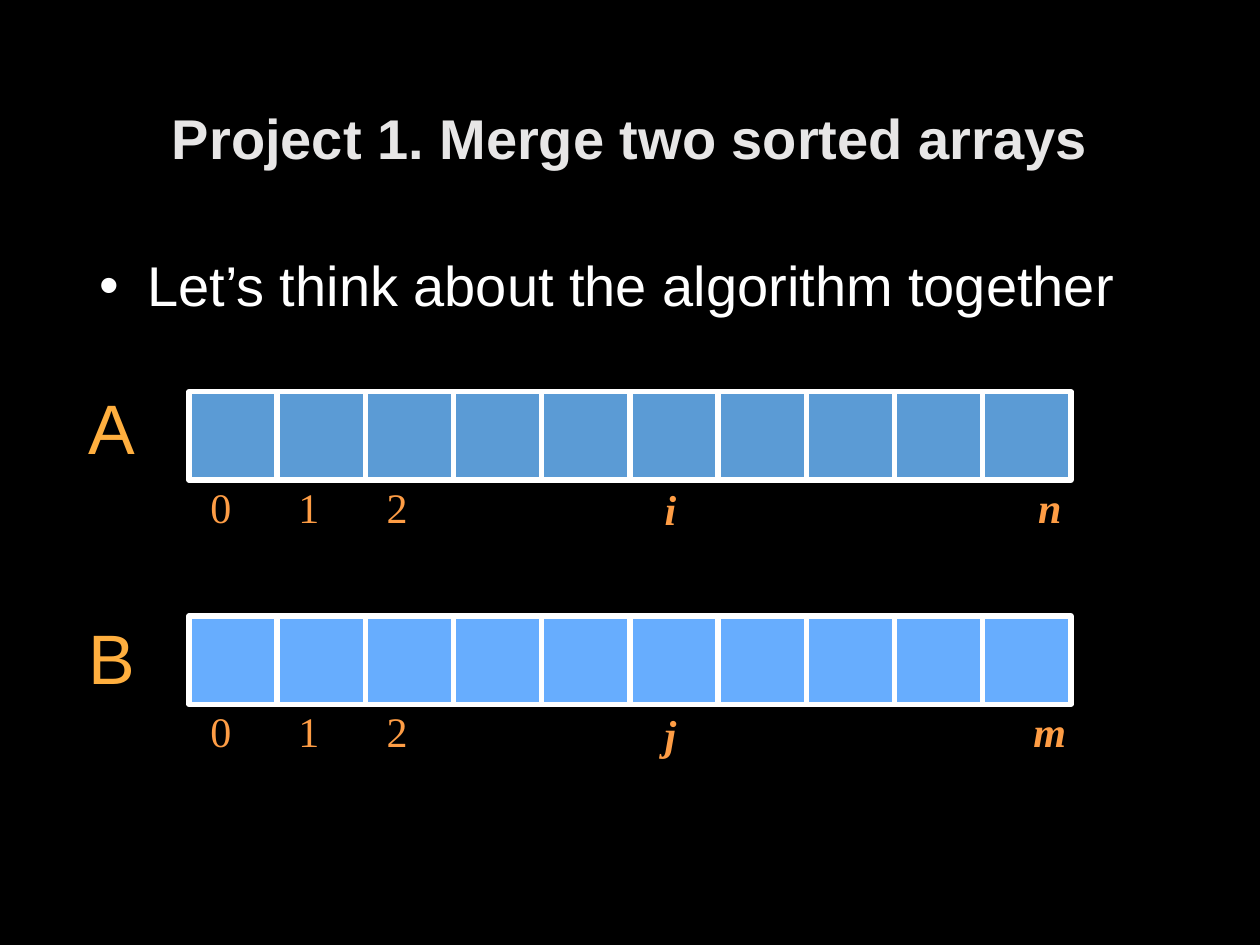
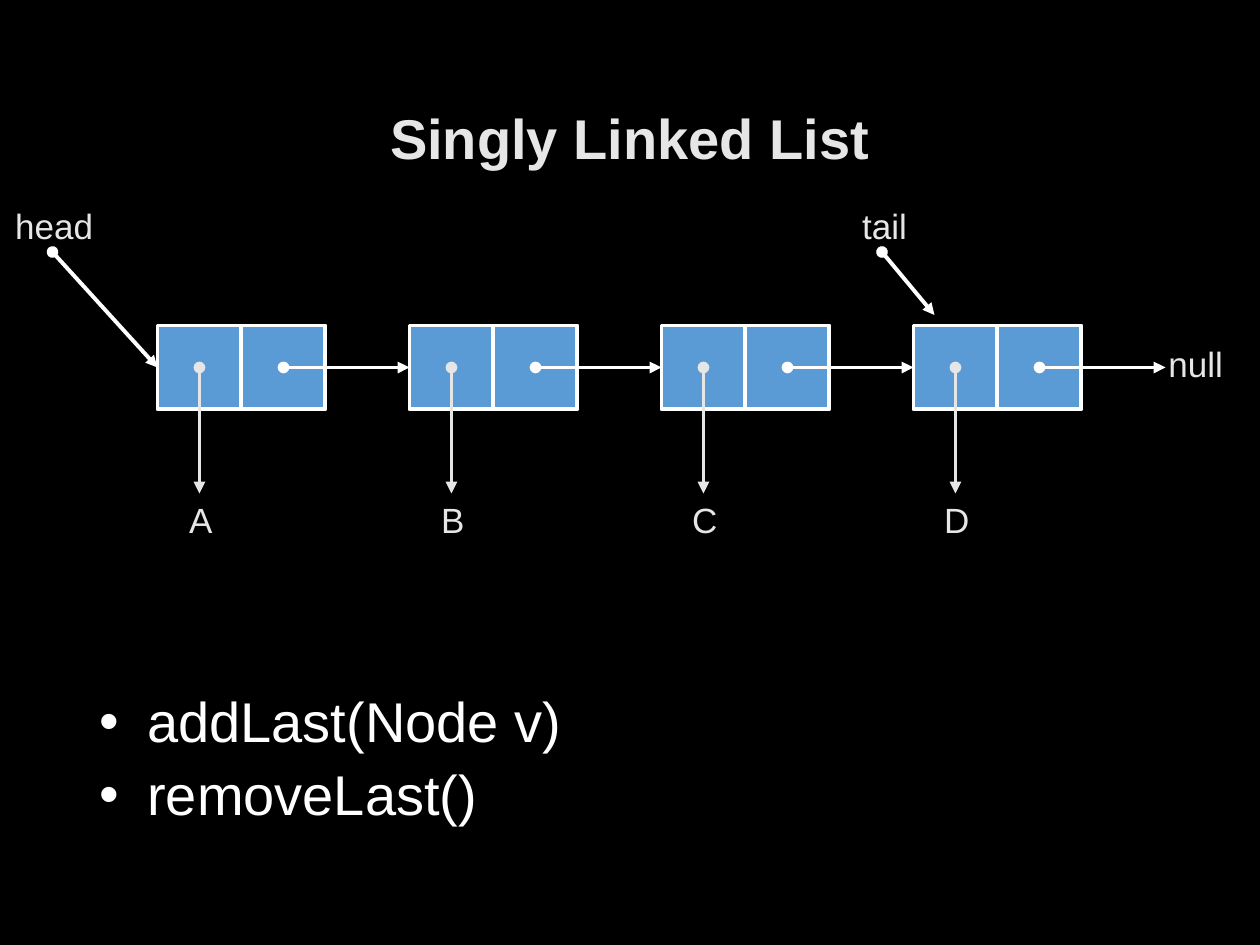
from pptx import Presentation
from pptx.dml.color import RGBColor
from pptx.enum.shapes import MSO_CONNECTOR, MSO_SHAPE
from pptx.enum.text import MSO_ANCHOR, MSO_AUTO_SIZE, PP_ALIGN
from pptx.oxml.ns import qn
from pptx.util import Inches, Pt
from lxml import etree

RECTANGLE = MSO_SHAPE.RECTANGLE
STRAIGHT = MSO_CONNECTOR.STRAIGHT
MIDDLE = MSO_ANCHOR.MIDDLE
NO_AUTOFIT = MSO_AUTO_SIZE.NONE
CENTER = PP_ALIGN.CENTER

BLACK = RGBColor(0x00, 0x00, 0x00)
WHITE = RGBColor(0xFF, 0xFF, 0xFF)
LIGHT_GRAY = RGBColor(0xE7, 0xE6, 0xE6)
BLUE = RGBColor(0x5B, 0x9B, 0xD5)
BRIGHT_BLUE = RGBColor(0x67, 0xAD, 0xFE)
ORANGE = RGBColor(0xFE, 0x9D, 0x45)
AMBER = RGBColor(0xFF, 0xAF, 0x3F)

SANS = "Arial"
SERIF = "Times New Roman"
MARGIN = 0.69
CONTENT_WIDTH = 8.62


def add_label(slide, text, center, top, size, color, font_name=SANS, emphasis=False):
    width = 0.65
    label = slide.shapes.add_textbox(
        Inches(center - width / 2), Inches(top), Inches(width), Inches(0.4))
    frame = label.text_frame
    frame.word_wrap = False
    frame.margin_left = frame.margin_right = frame.margin_top = frame.margin_bottom = 0
    frame.text = text
    paragraph = frame.paragraphs[0]
    paragraph.alignment = CENTER
    font = paragraph.runs[0].font
    font.name, font.size = font_name, Pt(size)
    font.bold = font.italic = emphasis
    font.color.rgb = color


def add_cell(slide, left, top, side, color, line_width):
    cell = slide.shapes.add_shape(
        RECTANGLE, Inches(left), Inches(top), Inches(side), Inches(side))
    cell.shadow.inherit = False
    cell.fill.solid()
    cell.fill.fore_color.rgb = color
    cell.line.color.rgb = WHITE
    cell.line.width = Pt(line_width)


presentation = Presentation()
presentation.slide_width = Inches(10)
presentation.slide_height = Inches(7.5)
background = presentation.slide_master.background.fill
background.solid()
background.fore_color.rgb = BLACK
title_only = presentation.slide_layouts[5]

contents = [
    ("Project 1. Merge two sorted arrays", 2, ["Let’s think about the algorithm together"]),
    ("Singly Linked List", 5.46, ["addLast(Node v)", "removeLast()"]),
]
for title_text, bullets_top, bullets in contents:
    slide = presentation.slides.add_slide(title_only)
    title = slide.shapes.title
    title.left, title.top = Inches(MARGIN), Inches(0.4)
    title.width, title.height = Inches(CONTENT_WIDTH), Inches(1.45)
    title.text_frame.text = title_text
    title.text_frame.vertical_anchor = MIDDLE
    title.text_frame.auto_size = NO_AUTOFIT
    paragraph = title.text_frame.paragraphs[0]
    paragraph.alignment = CENTER
    paragraph.line_spacing = 0.9
    font = paragraph.runs[0].font
    font.name, font.size, font.bold = SANS, Pt(32), True
    font.color.rgb = LIGHT_GRAY

    body = slide.shapes.add_textbox(
        Inches(MARGIN), Inches(bullets_top), Inches(CONTENT_WIDTH), Inches(0.6 * len(bullets)))
    body.text_frame.word_wrap = True
    body.text_frame.text = "\n".join(bullets)
    for number, paragraph in enumerate(body.text_frame.paragraphs):
        paragraph.line_spacing = 0.9
        paragraph.space_before = Pt(7 if number else 0)
        properties = paragraph._p.get_or_add_pPr()
        properties.set("marL", str(Inches(0.38)))
        properties.set("indent", str(-Inches(0.38)))
        etree.SubElement(properties, qn("a:buFont"), typeface=SANS)
        etree.SubElement(properties, qn("a:buChar"), char="•")
        font = paragraph.runs[0].font
        font.name, font.size = SANS, Pt(32)
        font.color.rgb = WHITE

arrays_slide, list_slide = presentation.slides

CELL = 0.7
ARRAY_LEFT = 1.5
arrays = [
    ("A", 3.11, 3.05, BLUE, "i", "n"),
    ("B", 4.89, 4.88, BRIGHT_BLUE, "j", "m"),
]
for name, top, name_top, color, current, last in arrays:
    for column in range(10):
        add_cell(arrays_slide, ARRAY_LEFT + column * CELL, top, CELL, color, 3)
    indices = [("0", 0.36), ("1", 1.36), ("2", 2.36), (current, 5.46), (last, 9.76)]
    for index, column in indices:
        index_top = top + CELL + (0.03 if index == current else 0.01)
        add_label(arrays_slide, index, ARRAY_LEFT + column * CELL, index_top,
                  24, ORANGE, SERIF, index.isalpha())
    add_label(arrays_slide, name, 0.89, name_top, 40, AMBER)

GRID = 10 / 120
NODE_TOP = 31
NODE_SIDE = 8
NODE_MIDDLE = NODE_TOP + NODE_SIDE / 2
pointers = [
    (5, 24, 15, NODE_MIDDLE, WHITE),
    (84, 24, 89, 30, WHITE),
]
for number, value in enumerate("ABCD"):
    left = 15 + 24 * number
    for cell_left in (left, left + NODE_SIDE):
        add_cell(list_slide, cell_left * GRID, NODE_TOP * GRID, NODE_SIDE * GRID, BLUE, 2.25)
    value_x = left + NODE_SIDE / 2
    next_x = value_x + NODE_SIDE
    pointers.append((value_x, NODE_MIDDLE, value_x, NODE_MIDDLE + 12, LIGHT_GRAY))
    pointers.append((next_x, NODE_MIDDLE, next_x + 12, NODE_MIDDLE, WHITE))
    add_label(list_slide, value, value_x * GRID + 0.01, 3.96, 20, LIGHT_GRAY)

for start_x, start_y, end_x, end_y, color in pointers:
    pointer = list_slide.shapes.add_connector(
        STRAIGHT, *[Inches(position * GRID) for position in (start_x, start_y, end_x, end_y)])
    pointer.line.color.rgb = color
    pointer.line.width = Pt(2.25)
    line = pointer.line._get_or_add_ln()
    etree.SubElement(line, qn("a:headEnd"), type="oval")
    etree.SubElement(line, qn("a:tailEnd"), type="triangle")
    etree.SubElement(pointer._element.spPr, qn("a:effectLst"))

for text, center, top in [("head", 0.43, 1.62), ("tail", 7.02, 1.62), ("null", 9.49, 2.72)]:
    add_label(list_slide, text, center, top, 20, LIGHT_GRAY)

presentation.save("out.pptx")
